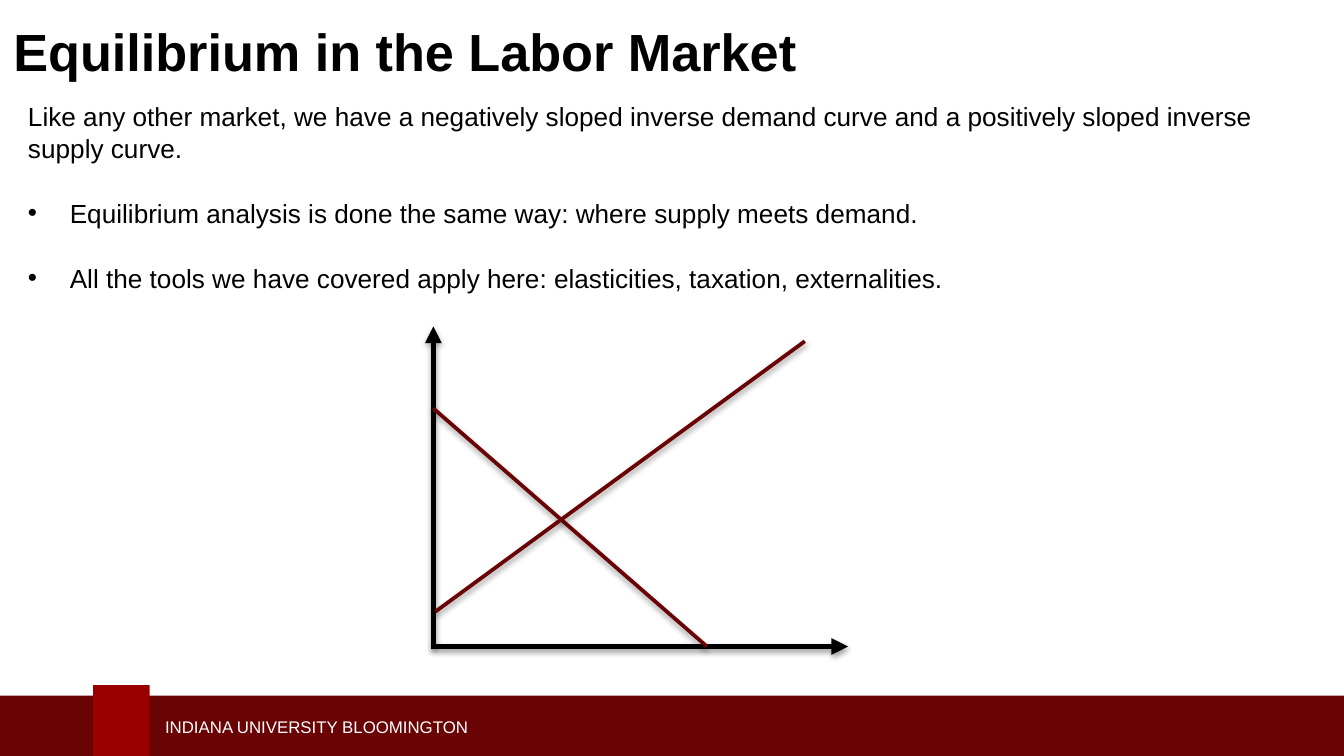
from dataclasses import dataclass

from lxml import etree
from pptx import Presentation
from pptx import util as u
from pptx.dml.color import RGBColor
from pptx.enum import shapes, text
from pptx.oxml import parse_xml
from pptx.oxml.ns import nsdecls, qn


@dataclass(frozen=True)
class Theme:
    """Colours, font and type sizes of the lecture."""

    ink: str = "000000"
    paper: str = "FFFFFF"
    crimson: str = "690304"
    red: str = "990000"
    font: str = "Arial"
    title: int = 28
    body: int = 14
    footer: int = 9


class Lecture:
    """Draws styled elements on the current page."""

    def __init__(self, deck, theme):
        self.theme = theme
        self.page = deck.slides.add_slide(deck.slide_layouts[5])

    def add_span(self, para, words, size, color, bold=False):
        span = para.add_run()
        span.text = words
        span.font.name = self.theme.font
        span.font.size = u.Pt(size)
        span.font.bold = bold
        span.font.color.rgb = RGBColor.from_string(color)

    def title(self, words, left, top, width, height):
        box = self.page.shapes.title
        box.left, box.top = u.Cm(left), u.Cm(top)
        box.width, box.height = u.Cm(width), u.Cm(height)
        frame = box.text_frame
        frame.auto_size = text.MSO_AUTO_SIZE.NONE
        frame.vertical_anchor = text.MSO_ANCHOR.MIDDLE
        para = frame.paragraphs[0]
        para.alignment = text.PP_ALIGN.LEFT
        self.add_span(para, words, self.theme.title, self.theme.ink, bold=True)

    def text_box(self, *area):
        box = self.page.shapes.add_textbox(*map(u.Cm, area))
        box.text_frame.word_wrap = True
        return box.text_frame

    def label(self, words, *area):
        frame = self.text_box(*area)
        frame.vertical_anchor = text.MSO_ANCHOR.MIDDLE
        self.add_span(frame.paragraphs[0], words, self.theme.footer, self.theme.paper)

    def body(self, lead, points, *area):
        frame = self.text_box(*area)
        para = frame.paragraphs[0]
        para.space_after = u.Pt(6)
        self.add_span(para, lead, self.theme.body, self.theme.ink)
        for point in points:
            para = frame.add_paragraph()
            self.bullet(para)
            para.space_before, para.space_after = u.Pt(12), u.Pt(6)
            self.add_span(para, point, self.theme.body, self.theme.ink)

    def bullet(self, para):
        props = para._p.get_or_add_pPr()
        indent = u.Cm(0.79)
        props.set("marL", str(indent))
        props.set("indent", str(-indent))
        etree.SubElement(props, qn("a:buFont"), typeface=self.theme.font)
        etree.SubElement(props, qn("a:buChar"), char="•")

    def block(self, color, *area):
        box = self.page.shapes.add_shape(
            shapes.MSO_SHAPE.RECTANGLE, *map(u.Cm, area))
        box.shadow.inherit = False
        box.fill.solid()
        box.fill.fore_color.rgb = RGBColor.from_string(color)
        box.line.fill.background()

    def line(self, color, weight, start, end, arrow=False):
        line = self.page.shapes.add_connector(
            shapes.MSO_CONNECTOR.STRAIGHT, *map(u.Cm, (*start, *end)))
        line.line.color.rgb = RGBColor.from_string(color)
        line.line.width = u.Pt(weight)
        props = line._element.spPr
        if arrow:
            etree.SubElement(props.find(qn("a:ln")), qn("a:tailEnd"), type="triangle")
        props.append(parse_xml(
            f'<a:effectLst {nsdecls("a")}>'
            '<a:outerShdw blurRad="40000" dist="20000" dir="5400000" rotWithShape="0">'
            f'<a:srgbClr val="{self.theme.ink}"><a:alpha val="38000"/></a:srgbClr>'
            '</a:outerShdw></a:effectLst>'))


def main():
    """Build the labor market page."""
    deck = Presentation()
    width, height = 25.4, 14.29
    deck.slide_width, deck.slide_height = u.Cm(width), u.Cm(height)
    theme = Theme()
    lecture = Lecture(deck, theme)

    band_top, tab_top = 13.15, 12.95
    lecture.block(theme.crimson, 0, band_top, width, height - band_top)
    lecture.block(theme.red, 1.76, tab_top, 1.07, height - tab_top)
    lecture.label("INDIANA UNIVERSITY BLOOMINGTON", 2.87, 13.41, 10.03, 0.64)

    lecture.title("Equilibrium in the Labor Market", 0, 0, width, 1.93)
    lecture.body(
        "Like any other market, we have a negatively sloped inverse demand curve "
        "and a positively sloped inverse supply curve.",
        ["Equilibrium analysis is done the same way: where supply meets demand.",
         "All the tools we have covered apply here: elasticities, taxation, externalities."],
        0.28, 1.78, 24.87, 3.94)

    axis_x, axis_y = 8.19, 12.22
    lecture.line(theme.ink, 3, (axis_x, axis_y), (axis_x, 6.17), arrow=True)
    lecture.line(theme.ink, 3, (8.15, axis_y), (16.03, axis_y), arrow=True)
    lecture.line(theme.crimson, 2, (axis_x, 7.72), (13.36, axis_y))
    lecture.line(theme.crimson, 2, (8.23, 11.56), (15.21, 6.45))

    deck.save("out.pptx")


if __name__ == "__main__":
    main()
